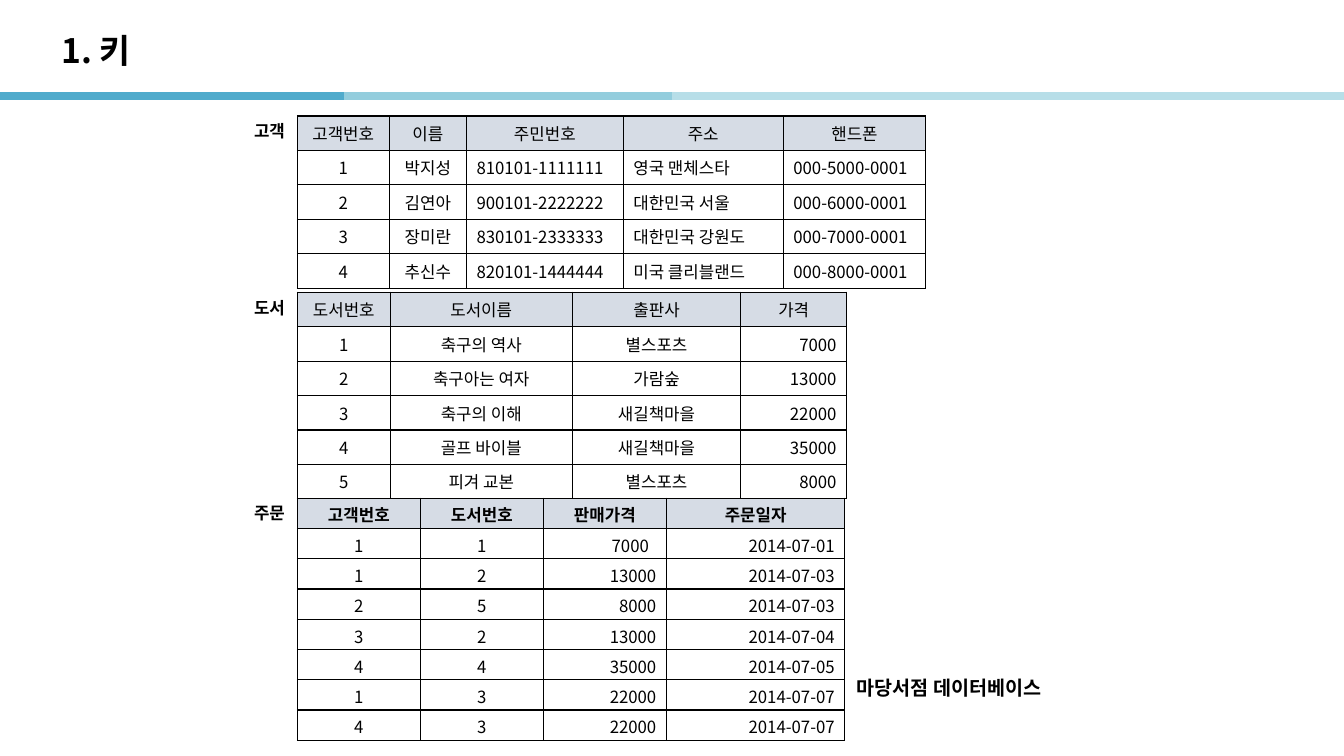
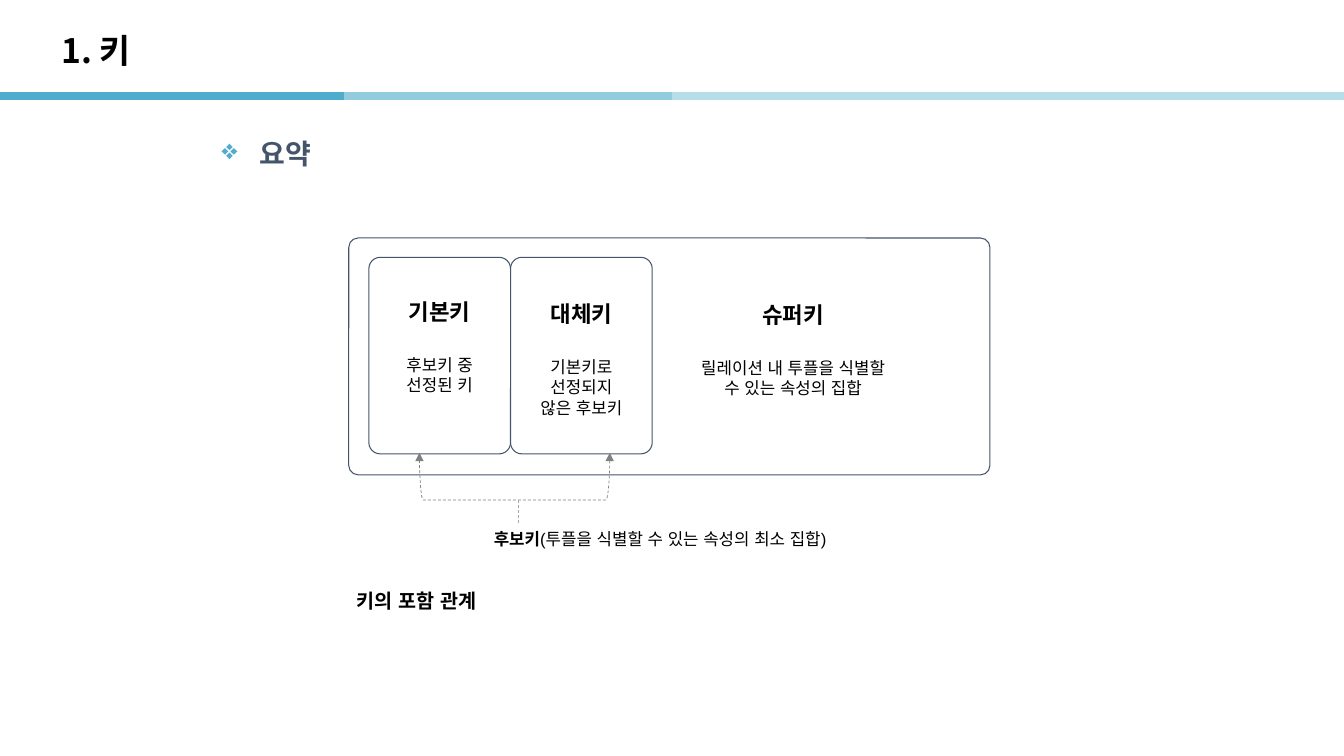
from dataclasses import dataclass

import pptx
import pptx.dml.color
import pptx.enum.dml
import pptx.enum.shapes
import pptx.enum.text
import pptx.oxml
import pptx.oxml.ns
import pptx.util
from lxml import etree

Pt = pptx.util.Pt
ALIGN = pptx.enum.text.PP_ALIGN
ANCHOR = pptx.enum.text.MSO_ANCHOR
SHAPE = pptx.enum.shapes.MSO_SHAPE
qn = pptx.oxml.ns.qn


@dataclass(frozen=True)
class Theme:
    """Colours, fonts and type sizes of the deck."""
    ink: str = "000000"
    white: str = "FFFFFF"
    navy: str = "44546A"
    accent: str = "50ABCC"
    bands: tuple = ("50ABCC", "93CDDD", "B7DEE8")
    header: str = "D6DCE5"
    bracket: str = "808080"
    stem: str = "A6A6A6"
    korean: str = "Noto Sans CJK KR"
    plain: str = "Arial"
    title: int = 24
    section: int = 20
    key: int = 16
    caption: int = 14
    body: int = 12


@dataclass(frozen=True)
class Box:
    """A rectangle in points."""
    left: float
    top: float
    width: float
    height: float

    def inner(self, x, y, width, height):
        """Return a box placed relative to this one."""
        return Box(self.left + x, self.top + y, width, height)

    def lengths(self):
        """Return left, top, width and height as lengths."""
        return Pt(self.left), Pt(self.top), Pt(self.width), Pt(self.height)


THEME = Theme()


def rgb(value):
    """Return a colour from its hex value."""
    return pptx.dml.color.RGBColor.from_string(value)


def add_run(paragraph, text, size, face=THEME.plain, color=THEME.ink, bold=False):
    """Add one formatted run, with the same face for Latin and Korean."""
    run = paragraph.add_run()
    run.text = text
    run.font.size = Pt(size)
    run.font.bold = bold
    run.font.color.rgb = rgb(color)
    run.font.name = face
    latin = run.font.latin if hasattr(run.font, "latin") else run.element_rpr \
        if hasattr(run, "element_rpr") else run.font._element.find(qn("a:latin"))
    east_asian = pptx.oxml.parse_xml(
        f'<a:ea xmlns:a="{pptx.oxml.ns.nsdecls("a").split(chr(34))[1]}" typeface="{face}"/>')
    latin.addnext(east_asian)


def add_text(slide, box, runs, wrap=False, anchor=ANCHOR.TOP):
    """Add a one-paragraph text box and return its paragraph."""
    frame = slide.shapes.add_textbox(*box.lengths()).text_frame
    frame.word_wrap = wrap
    frame.vertical_anchor = anchor
    paragraph = frame.paragraphs[0]
    for text, style in runs:
        add_run(paragraph, text, **style)
    return paragraph


def add_line(slide, start, end, color, width):
    """Add a straight line without shadow."""
    line = slide.shapes.add_connector(
        pptx.enum.shapes.MSO_CONNECTOR.STRAIGHT, *map(Pt, start + end))
    line.line.color.rgb = rgb(color)
    line.line.width = Pt(width)
    etree.SubElement(line.element.spPr, qn("a:effectLst"))
    return line


def build_layout(layout, slide):
    """Put the title position and the coloured bands on the shared layout."""
    for holder in list(layout.placeholders):
        if holder.placeholder_format.type == pptx.enum.shapes.PP_PLACEHOLDER.TITLE:
            holder.left, holder.top, holder.width, holder.height = Box(36.7, 15.8, 793.4, 43.2).lengths()
            holder.text_frame.vertical_anchor = ANCHOR.MIDDLE
        else:
            layout.shapes.element.remove(holder.element)
    edges = (0, 245.5, 480, 960)
    bands = [add_line(slide, (left, 68.4), (right, 68.4), color, 6)
             for left, right, color in zip(edges, edges[1:], THEME.bands)]
    for band in bands:
        layout.shapes.element.append(band.element)


def fill_title(slide, text):
    """Write the slide title."""
    paragraph = slide.shapes.title.text_frame.paragraphs[0]
    paragraph.alignment = ALIGN.LEFT
    paragraph.line_spacing = 0.9
    add_run(paragraph, text, THEME.title, THEME.korean, bold=True)


def add_borders(cell):
    """Draw thin black lines on all sides of a cell."""
    properties = cell._tc.get_or_add_tcPr()
    for index, side in enumerate("LRTB"):
        edge = etree.Element(qn(f"a:ln{side}"), w=str(Pt(1)))
        solid = etree.SubElement(edge, qn("a:solidFill"))
        etree.SubElement(solid, qn("a:srgbClr"), val=THEME.ink)
        properties.insert(index, edge)


def add_relation(slide, box, name, columns, aligns, rows, compact=False):
    """Add a named relation as a table and return the table."""
    label_style = dict(size=THEME.body, bold=True)
    add_text(slide, box.inner(-38, 0, 38.9, 21.6), [(name, label_style)])
    table = slide.shapes.add_table(len(rows), len(columns), *box.lengths()).table
    table.first_row = table.horz_banding = False
    for column, width in zip(table.columns, columns):
        column.width = Pt(width)
    sides = {"l": ALIGN.LEFT, "c": ALIGN.CENTER, "r": ALIGN.RIGHT}
    for r, row in enumerate(rows):
        table.rows[r].height = Pt(box.height / len(rows))
        for c, text in enumerate(row):
            cell = table.cell(r, c)
            if r == 0:
                cell.fill.solid()
                cell.fill.fore_color.rgb = rgb(THEME.header)
            else:
                cell.fill.background()
            if compact:
                cell.vertical_anchor = ANCHOR.MIDDLE
                cell.margin_top, cell.margin_bottom = Pt(3), Pt(1)
            add_borders(cell)
            paragraph = cell.text_frame.paragraphs[0]
            paragraph.alignment = sides["c" if r == 0 else aligns[c]]
            add_run(paragraph, text, THEME.body, THEME.korean, bold=compact and r == 0)
    return table


def build_database(slide):
    """Place the three relations of the bookshop database."""
    customers = [
        ("고객번호", "이름", "주민번호", "주소", "핸드폰"),
        ("1", "박지성", "810101-1111111", "영국 맨체스타", "000-5000-0001"),
        ("2", "김연아", "900101-2222222", "대한민국 서울", "000-6000-0001"),
        ("3", "장미란", "830101-2333333", "대한민국 강원도", "000-7000-0001"),
        ("4", "추신수", "820101-1444444", "미국 클리블랜드", "000-8000-0001"),
    ]
    books = [
        ("도서번호", "도서이름", "출판사", "가격"),
        ("1", "축구의 역사", "별스포츠", "7000"),
        ("2", "축구아는 여자", "가람숲", "13000"),
        ("3", "축구의 이해", "새길책마을", "22000"),
        ("4", "골프 바이블", "새길책마을", "35000"),
        ("5", "피겨 교본", "별스포츠", "8000"),
    ]
    orders = [
        ("고객번호", "도서번호", "판매가격", "주문일자"),
        ("1", "1", "7000", "2014-07-01"),
        ("1", "2", "13000", "2014-07-03"),
        ("2", "5", "8000", "2014-07-03"),
        ("3", "2", "13000", "2014-07-04"),
        ("4", "4", "35000", "2014-07-05"),
        ("1", "3", "22000", "2014-07-07"),
        ("4", "3", "22000", "2014-07-07"),
    ]
    left = 212.4
    add_relation(slide, Box(left, 82.8, 449, 123.2), "고객",
                 (65.6, 55.2, 112, 114.3, 101.9), "cclll", customers)
    add_relation(slide, Box(left, 208.8, 392.4, 147.6), "도서",
                 (66.4, 130, 120.4, 75.6), "cccr", books)
    order_table = add_relation(slide, Box(left, 355.8, 391.2, 173.2), "주문",
                               (87.9, 87.9, 87.9, 127.5), "ccrr", orders, compact=True)
    order_table.cell(1, 2).margin_right = Pt(12.5)
    caption_style = dict(size=THEME.caption, face=THEME.korean, bold=True)
    add_text(slide, Box(604.8, 480.2, 147.6, 22.3),
             [("마당서점 데이터베이스", caption_style)], anchor=ANCHOR.MIDDLE)


def add_key(slide, box, corner, name, meaning, inset_top, inset_left=0):
    """Add a rounded box with a key name and its meaning."""
    key = slide.shapes.add_shape(SHAPE.ROUNDED_RECTANGLE, *box.lengths())
    key.adjustments[0] = corner
    key.shadow.inherit = False
    key.fill.solid()
    key.fill.fore_color.rgb = rgb(THEME.white)
    key.line.color.rgb = rgb(THEME.navy)
    key.line.width = Pt(0.75)
    frame = key.text_frame
    frame.word_wrap = True
    frame.vertical_anchor = ANCHOR.TOP
    frame.margin_top, frame.margin_left, frame.margin_right = Pt(inset_top), Pt(inset_left), 0
    for index, text in enumerate((name,) + meaning):
        paragraph = frame.add_paragraph() if index else frame.paragraphs[0]
        paragraph.alignment = ALIGN.CENTER
        paragraph.line_spacing = Pt(14.5 if index else 19)
        if index == 1:
            paragraph.space_before = Pt(21)
        add_run(paragraph, text, THEME.body if index else THEME.key, bold=index == 0)


def add_bracket(slide, box):
    """Add a dashed bracket opening upwards with an arrowhead at each end."""
    upright = box.inner((box.width - box.height) / 2, (box.height - box.width) / 2,
                        box.height, box.width)
    bracket = slide.shapes.add_shape(SHAPE.LEFT_BRACKET, *upright.lengths())
    bracket.rotation = 270
    bracket.shadow.inherit = False
    bracket.fill.background()
    bracket.line.color.rgb = rgb(THEME.bracket)
    bracket.line.width = Pt(0.5)
    bracket.line.dash_style = pptx.enum.dml.MSO_LINE.DASH
    outline = bracket.element.spPr.find(qn("a:ln"))
    for end in ("headEnd", "tailEnd"):
        etree.SubElement(outline, qn(f"a:{end}"), type="triangle")


def add_key_diagram(slide, box):
    """Place the nested keys, the candidate-key bracket and the captions."""
    add_key(slide, box, 0.04, "슈퍼키", ("릴레이션 내 투플을 식별할", "수 있는 속성의 집합"), 43.5, 177)
    inner_keys = (
        ("기본키", ("후보키 중", "선정된 키"), 27),
        ("대체키", ("기본키로", "선정되지", "않은 후보키"), 28.5),
    )
    for index, (name, meaning, inset) in enumerate(inner_keys):
        add_key(slide, box.inner(14.4 + 101.2 * index, 13.8, 101.2, 140.4), 0.08, name, meaning, inset)
    add_bracket(slide, box.inner(50.5, 153.4, 136, 33.8))
    stem_x = box.left + 121
    stem = add_line(slide, (stem_x, box.top + 187.2), (stem_x, box.top + 204.4), THEME.stem, 0.5)
    stem.line.dash_style = pptx.enum.dml.MSO_LINE.DASH
    add_text(slide, box.inner(96.5, 204.4, 294.5, 21.6), [
        ("후보키", dict(size=THEME.body, bold=True)),
        ("(투플을 식별할 수 있는 속성의 최소 집합)", dict(size=THEME.body)),
    ], wrap=True)
    add_text(slide, box.inner(-1.4, 247.6, 147.6, 22.3),
             [("키의 포함 관계", dict(size=THEME.caption, bold=True))], anchor=ANCHOR.MIDDLE)


def add_section(slide, box, text):
    """Add a bulleted section heading."""
    heading = add_text(slide, box, [], wrap=True, anchor=ANCHOR.MIDDLE)
    properties = heading._p.get_or_add_pPr()
    properties.set("marL", str(Pt(27.4)))
    properties.set("indent", str(-Pt(27.4)))
    bullet_color = etree.SubElement(properties, qn("a:buClr"))
    etree.SubElement(bullet_color, qn("a:srgbClr"), val=THEME.accent)
    etree.SubElement(properties, qn("a:buChar"), char="❖")
    add_run(heading, text, THEME.section, color=THEME.navy, bold=True)


def build_summary(slide):
    """Place the section heading and the key diagram."""
    add_section(slide, Box(151.2, 90, 635, 38.9), "요약")
    add_key_diagram(slide, Box(249.1, 170, 458, 169.2))


def main():
    """Build and save the deck."""
    deck = pptx.Presentation()
    deck.slide_width, deck.slide_height = Pt(960), Pt(540)
    layout = deck.slide_layouts.get_by_name("Title Only")
    database, summary = (deck.slides.add_slide(layout) for _ in range(2))
    build_layout(layout, database)
    for slide, build in ((database, build_database), (summary, build_summary)):
        fill_title(slide, "1. 키")
        build(slide)
    deck.save("out.pptx")


if __name__ == "__main__":
    main()
